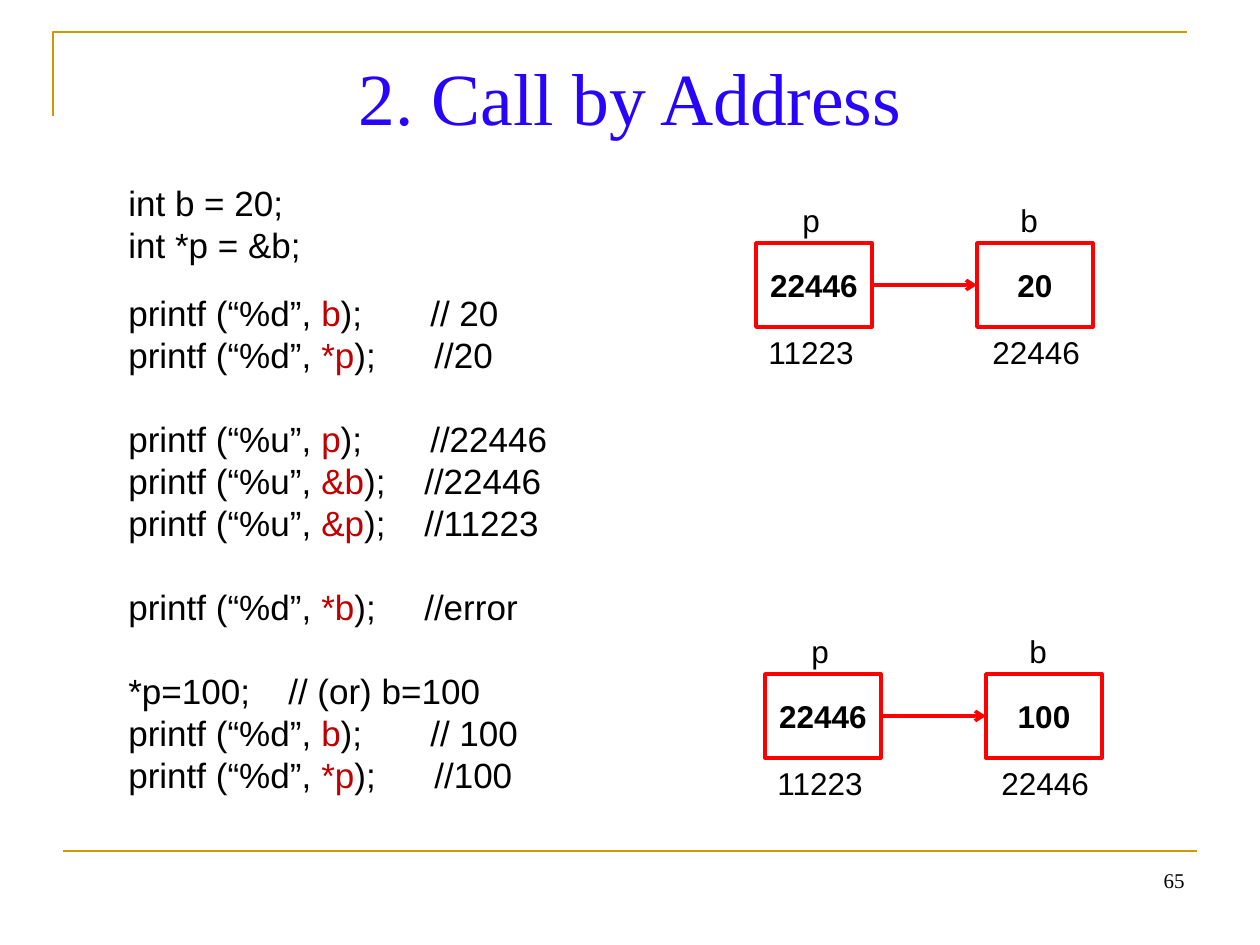
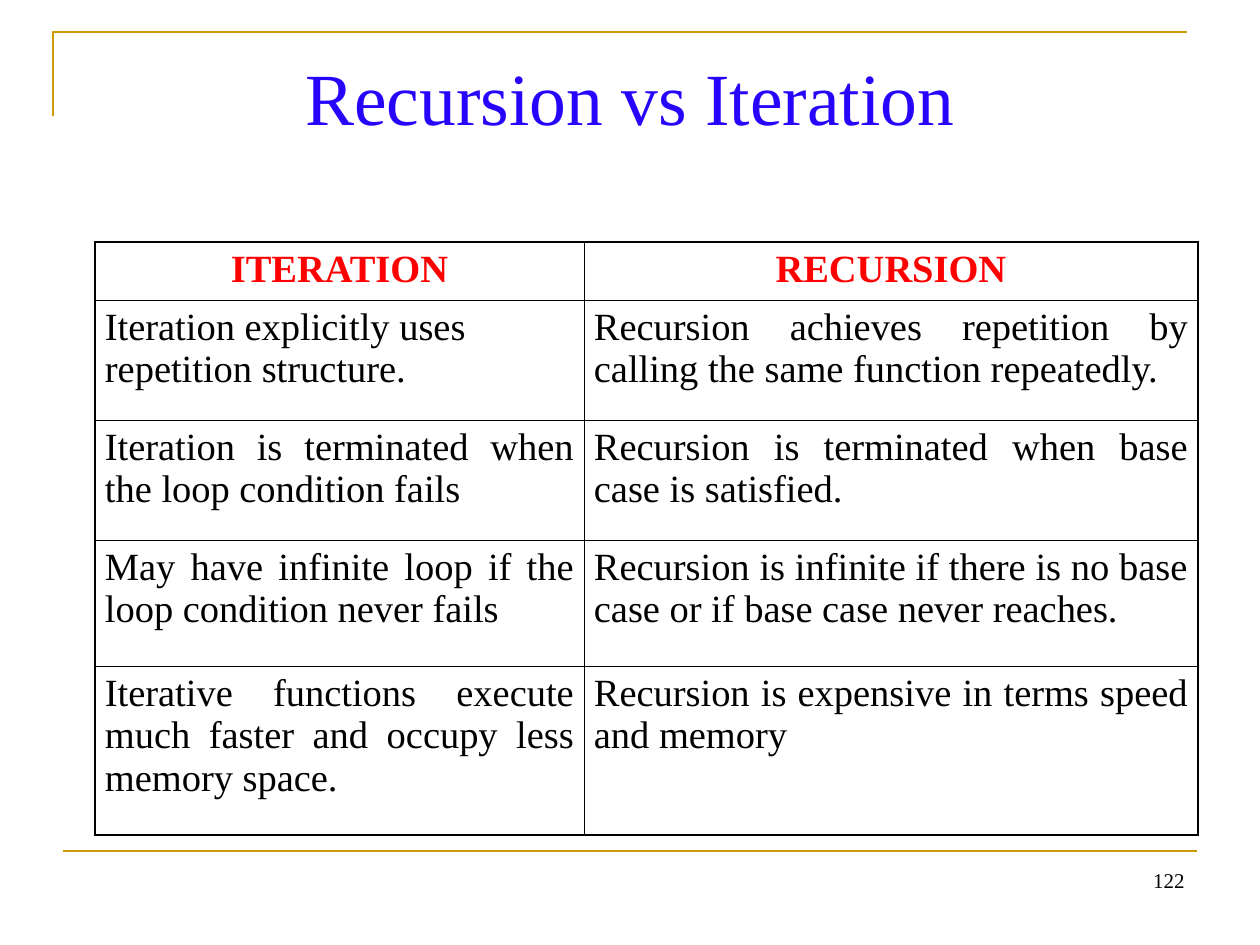
from lxml import etree
from pptx import Presentation
from pptx.dml.color import RGBColor
from pptx.enum.shapes import MSO_CONNECTOR, MSO_SHAPE
from pptx.enum.text import MSO_ANCHOR, MSO_AUTO_SIZE, PP_ALIGN
from pptx.oxml.ns import qn
from pptx.util import Emu, Pt

EMU_PER_PX = 914400 / 126
COLOURS = {
    "frame": "CC9900",
    "title": "2704FC",
    "text": "000000",
    "accent": "FF0000",
    "argument": "C00000",
}
SANS, SERIF = "Arial", "Times New Roman"

DECLARATIONS = ["int b = 20;", "int *p = &b;"]
# Each block holds lines of (before, argument, after, comment, comment offset).
CODE_BLOCKS = [
    [
        ("printf (“%d”, ", "b", ");", "// 20", 302),
        ("printf (“%d”, ", "*p", ");", "//20", 306),
    ],
    [
        ("printf (“%u”, ", "p", ");", "//22446", 302),
        ("printf (“%u”, ", "&b", ");", "//22446", 296),
        ("printf (“%u”, ", "&p", ");", "//11223", 296),
    ],
    [("printf (“%d”, ", "*b", ");", "//error", 296)],
    [
        ("*p=100;", "", "", "// (or) b=100", 160),
        ("printf (“%d”, ", "b", ");", "// 100", 302),
        ("printf (“%d”, ", "*p", ");", "//100", 306),
    ],
]
COMPARISON = [
    ("ITERATION", "RECURSION"),
    ("Iteration explicitly uses repetition structure.",
     "Recursion achieves repetition by calling the same function repeatedly."),
    ("Iteration is terminated when the loop condition fails",
     "Recursion is terminated when base case is satisfied."),
    ("May have infinite loop if the loop condition never fails",
     "Recursion is infinite if there is no base case or if base case never reaches."),
    ("Iterative functions execute much faster and occupy less memory space.",
     "Recursion is expensive in terms speed and memory"),
]


def px(length):
    return Emu(round(length * EMU_PER_PX))


def colour(name):
    return RGBColor.from_string(COLOURS[name])


def set_font(paragraph, size, name=SANS, colour_name="text", bold=False):
    font = paragraph.font
    font.size, font.name, font.bold = Pt(size), name, bold
    font.color.rgb = colour(colour_name)


def set_line(shape, colour_name, width):
    shape.line.color.rgb = colour(colour_name)
    shape.line.width = Pt(width)


def add_tab_stops(paragraph, *positions):
    tab_list = etree.SubElement(paragraph._p.get_or_add_pPr(), qn("a:tabLst"))
    for position in positions:
        etree.SubElement(tab_list, qn("a:tab"), pos=str(px(position)), algn="l")


def add_text_box(slide, left, top, width, height):
    box = slide.shapes.add_textbox(px(left), px(top), px(width), px(height))
    box.text_frame.word_wrap = True
    return box.text_frame


def next_paragraph(frame, index):
    return frame.add_paragraph() if index else frame.paragraphs[0]


def add_line(slide, start, end, colour_name, width, arrow=False):
    line = slide.shapes.add_connector(
        MSO_CONNECTOR.STRAIGHT, *[px(value) for value in (*start, *end)])
    set_line(line, colour_name, width)
    if arrow:
        etree.SubElement(line.line._get_or_add_ln(), qn("a:tailEnd"), type="arrow")
    etree.SubElement(line._element.spPr, qn("a:effectLst"))


def add_frame(slide):
    """Draw the corner line at the top and the rule above the footer."""
    builder = slide.shapes.build_freeform(px(53), px(116))
    builder.add_line_segments([(px(53), px(32)), (px(1187), px(32))], close=False)
    corner = builder.convert_to_shape()
    corner.shadow.inherit = False
    corner.fill.background()
    set_line(corner, "frame", 1.5)
    add_line(slide, (63, 851), (1197, 851), "frame", 1.5)


def add_titled_slide(presentation, title_text, number):
    slide = presentation.slides.add_slide(presentation.slide_layouts[5])
    add_frame(slide)
    title = slide.shapes.title
    title.left, title.top, title.width, title.height = px(63), px(38), px(1134), px(157)
    frame = title.text_frame
    frame.text = title_text
    frame.auto_size = MSO_AUTO_SIZE.NONE
    frame.vertical_anchor = MSO_ANCHOR.TOP
    frame.margin_top = px(14)
    paragraph = frame.paragraphs[0]
    paragraph.alignment = PP_ALIGN.CENTER
    set_font(paragraph, 42, SERIF, "title")

    paragraph = add_text_box(slide, 903, 861, 294, 65).paragraphs[0]
    paragraph.text = str(number)
    paragraph.alignment = PP_ALIGN.RIGHT
    set_font(paragraph, 12, SERIF)
    return slide


def add_declarations(slide):
    frame = add_text_box(slide, 116, 175, 451, 100)
    for index, text in enumerate(DECLARATIONS):
        paragraph = next_paragraph(frame, index)
        paragraph.text = text
        paragraph.line_spacing = Pt(24)
        set_font(paragraph, 20)


def add_code(slide):
    frame = add_text_box(slide, 116, 285, 603, 601)
    for block_index, block in enumerate(CODE_BLOCKS):
        for line_index, (before, argument, after, comment, offset) in enumerate(block):
            paragraph = next_paragraph(frame, block_index + line_index)
            paragraph.line_spacing = Pt(24)
            if block_index and not line_index:
                paragraph.space_before = Pt(24)
            add_tab_stops(paragraph, offset)
            set_font(paragraph, 20)
            paragraph.add_run().text = before
            if argument:
                run = paragraph.add_run()
                run.text = argument
                run.font.color.rgb = colour("argument")
            paragraph.add_run().text = f"{after}\t{comment}"


def add_memory_cell(slide, left, top, width, height, value):
    cell = slide.shapes.add_shape(
        MSO_SHAPE.RECTANGLE, px(left), px(top), px(width), px(height))
    cell.shadow.inherit = False
    cell.fill.background()
    set_line(cell, "accent", 2)
    frame = cell.text_frame
    frame.vertical_anchor = MSO_ANCHOR.MIDDLE
    paragraph = frame.paragraphs[0]
    paragraph.text = value
    paragraph.alignment = PP_ALIGN.CENTER
    set_font(paragraph, 18, bold=True)


def add_label_row(slide, left, top, width, text, *tab_stops):
    paragraph = add_text_box(slide, left, top, width, 50).paragraphs[0]
    add_tab_stops(paragraph, *tab_stops)
    paragraph.text = text
    set_font(paragraph, 18)


def add_pointer_diagram(slide, left, top, value):
    """Draw pointer p, holding the address of b, with an arrow to b."""
    width, height, gap = 116, 84, 105
    target = left + width + gap
    middle = top + height // 2
    add_memory_cell(slide, left, top, width, height, "22446")
    add_memory_cell(slide, target, top, width, height, value)
    add_line(slide, (left + width, middle), (target, middle), "accent", 2, arrow=True)
    add_label_row(slide, left - 9, top - 48, 387, "\tp\tb", 43, 261)
    add_label_row(slide, left, top + height, 420, "11223\t22446", 224)


def set_borders(cell, widths):
    """Set left, right, top and bottom border widths, in points."""
    properties = cell._tc.get_or_add_tcPr()
    for index, (side, width) in enumerate(zip("LRTB", widths)):
        border = etree.Element(qn(f"a:ln{side}"), w=str(Pt(width)))
        fill = etree.SubElement(border, qn("a:solidFill"))
        etree.SubElement(fill, qn("a:srgbClr"), val=COLOURS["text"])
        properties.insert(index, border)


def format_cell(cell, row, column):
    cell.fill.background()
    cell.margin_left = cell.margin_right = px(10)
    cell.margin_top = cell.margin_bottom = px(6)
    edges = (column == 0, column == 1, row == 0, row == len(COMPARISON) - 1)
    set_borders(cell, [1.08 if edge else 0.45 for edge in edges])
    paragraph = cell.text_frame.paragraphs[0]
    if row == 0:
        paragraph.alignment = PP_ALIGN.CENTER
        set_font(paragraph, 22, SERIF, "accent", bold=True)
    else:
        left_aligned = (row, column) == (1, 0)
        paragraph.alignment = PP_ALIGN.LEFT if left_aligned else PP_ALIGN.JUSTIFY
        set_font(paragraph, 22, SERIF)


def add_comparison_table(slide):
    column_widths, row_heights = (489, 614), (55, 120, 120, 126, 169)
    table = slide.shapes.add_table(
        len(row_heights), len(column_widths), px(95), px(242),
        px(sum(column_widths)), px(sum(row_heights))).table
    table.first_row = table.horz_banding = False
    for column, width in zip(table.columns, column_widths):
        column.width = px(width)
    for row_index, (height, texts) in enumerate(zip(row_heights, COMPARISON)):
        table.rows[row_index].height = px(height)
        for column_index, text in enumerate(texts):
            cell = table.cell(row_index, column_index)
            cell.text = text
            format_cell(cell, row_index, column_index)


def main():
    presentation = Presentation()
    presentation.slide_width, presentation.slide_height = px(1260), px(945)

    slide = add_titled_slide(presentation, "2. Call by Address", 65)
    add_declarations(slide)
    add_code(slide)
    add_pointer_diagram(slide, 756, 243, "20")
    add_pointer_diagram(slide, 765, 674, "100")

    slide = add_titled_slide(presentation, "Recursion vs Iteration", 122)
    add_comparison_table(slide)

    presentation.save("out.pptx")


if __name__ == "__main__":
    main()
